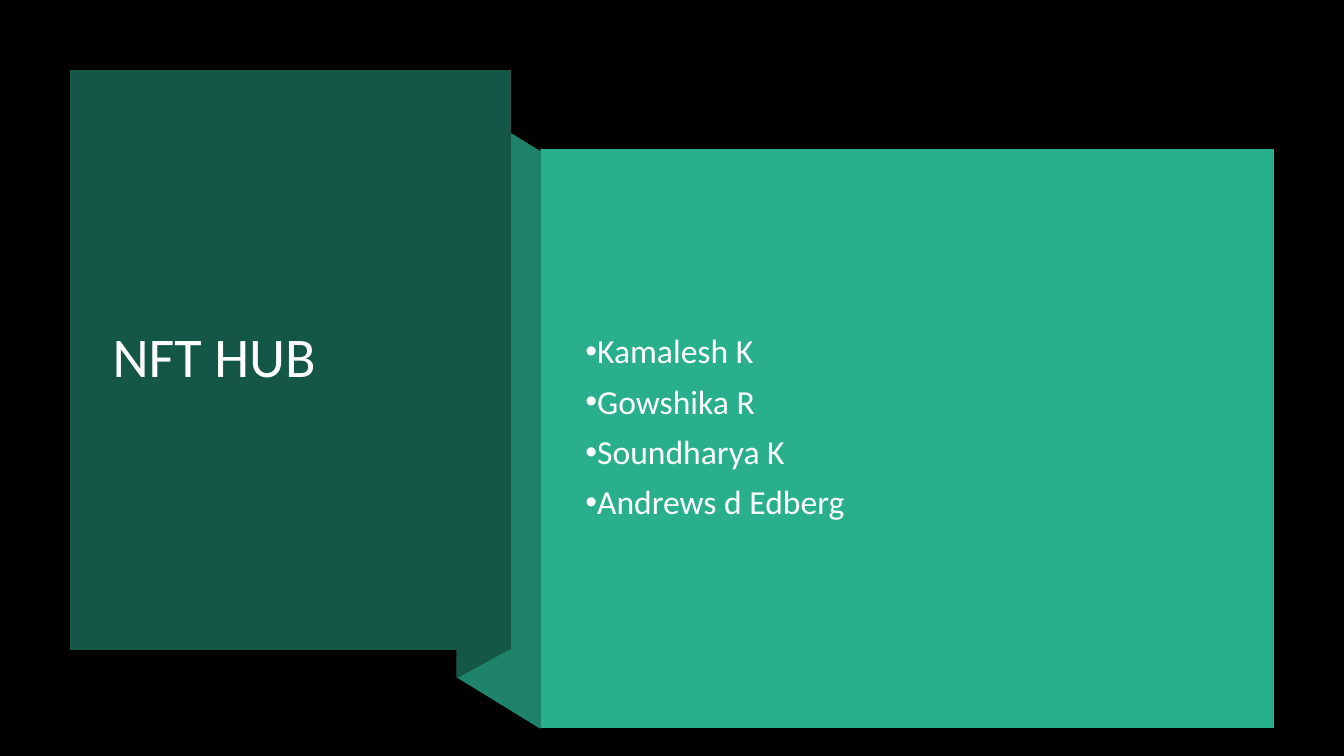
from dataclasses import dataclass

from lxml.etree import SubElement
from pptx import Presentation
from pptx.dml.color import RGBColor as Rgb
from pptx.enum.shapes import MSO_SHAPE as Preset
from pptx.enum.text import MSO_ANCHOR as Anchor
from pptx.oxml.ns import qn
from pptx.shapes.base import BaseShape
from pptx.slide import Slide
from pptx.util import Pt

COLORS = {
    "back": "000000",
    "dark": "155746",
    "fold": "1F8369",
    "panel": "29AF8C",
    "title": "FFFFFF",
    "names": "FEFFFF",
}


@dataclass
class Face:
    """One flat side of the ribbon, with its corners in points."""
    color: str
    corners: list[tuple[float, float]]


@dataclass
class Label:
    box: tuple[float, float, float, float]
    lines: list[str]
    size: float
    color: str
    before: float = 0
    bullet: str = ""


FACES = [
    Face("fold", [(386, 520.6), (326.2, 483.9), (326.2, 71.3), (386, 108)]),
    Face("dark", [(364.5, 463.7), (326.2, 484.4), (326.2, 70.6), (364.5, 49.7)]),
    Face("dark", [(50, 50.2), (365, 50.2), (365, 464.2), (50, 464.2)]),
]
PANEL = (386, 106.6, 524, 413.4)
LABELS = [
    Label((73.4, 77, 267, 359.3), ["NFT HUB"], 40, "title"),
    Label((411.1, 135.4, 468.7, 341.3),
          ["Kamalesh K", "Gowshika R", "Soundharya K", "Andrews d Edberg"],
          24, "names", 10, "•"),
]


def shade(shape: BaseShape, color: str) -> None:
    """Give the shape a flat fill without line or shadow."""
    shape.shadow.inherit = False
    shape.fill.solid()
    shape.fill.fore_color.rgb = Rgb.from_string(COLORS[color])
    shape.line.fill.background()


def draw_face(slide: Slide, face: Face) -> None:
    points = [(Pt(x), Pt(y)) for x, y in face.corners]
    path = slide.shapes.build_freeform(*points[0])
    path.add_line_segments(points[1:], close=True)
    shade(path.convert_to_shape(), face.color)


def draw_panel(slide: Slide) -> None:
    panel = slide.shapes.add_shape(Preset.RECTANGLE, *map(Pt, PANEL))
    shade(panel, "panel")


def draw_label(slide: Slide, label: Label) -> None:
    frame = slide.shapes.add_textbox(*map(Pt, label.box)).text_frame
    frame.word_wrap = True
    frame.vertical_anchor = Anchor.MIDDLE
    frame.text = "\n".join(label.lines)
    for para in frame.paragraphs:
        para.line_spacing = 0.9
        para.space_before = Pt(label.before)
        font = para.runs[0].font
        font.name = "Calibri"
        font.size = Pt(label.size)
        font.color.rgb = Rgb.from_string(COLORS[label.color])
        if label.bullet:
            props = para._p.get_or_add_pPr()
            props.set("marL", "0")
            props.set("indent", str(Pt(-18)))
            SubElement(props, qn("a:buFont"), typeface="Arial")
            SubElement(props, qn("a:buChar"), char=label.bullet)


def main() -> None:
    deck = Presentation()
    deck.slide_width, deck.slide_height = Pt(960), Pt(540)
    slide = deck.slides.add_slide(deck.slide_layouts[6])
    back = slide.background.fill
    back.solid()
    back.fore_color.rgb = Rgb.from_string(COLORS["back"])
    for face in FACES:
        draw_face(slide, face)
    draw_panel(slide)
    for label in LABELS:
        draw_label(slide, label)
    deck.save("out.pptx")


if __name__ == "__main__":
    main()
